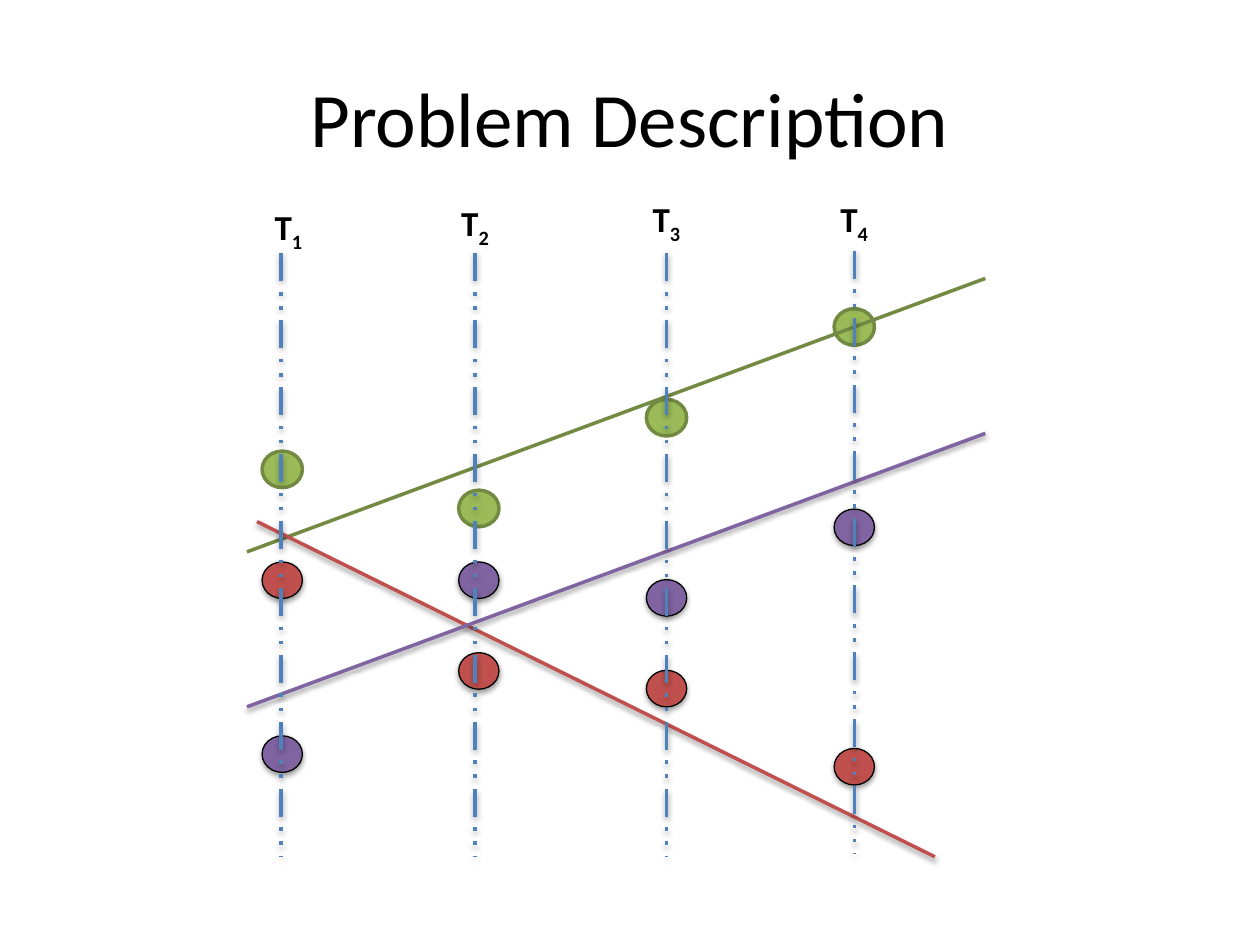
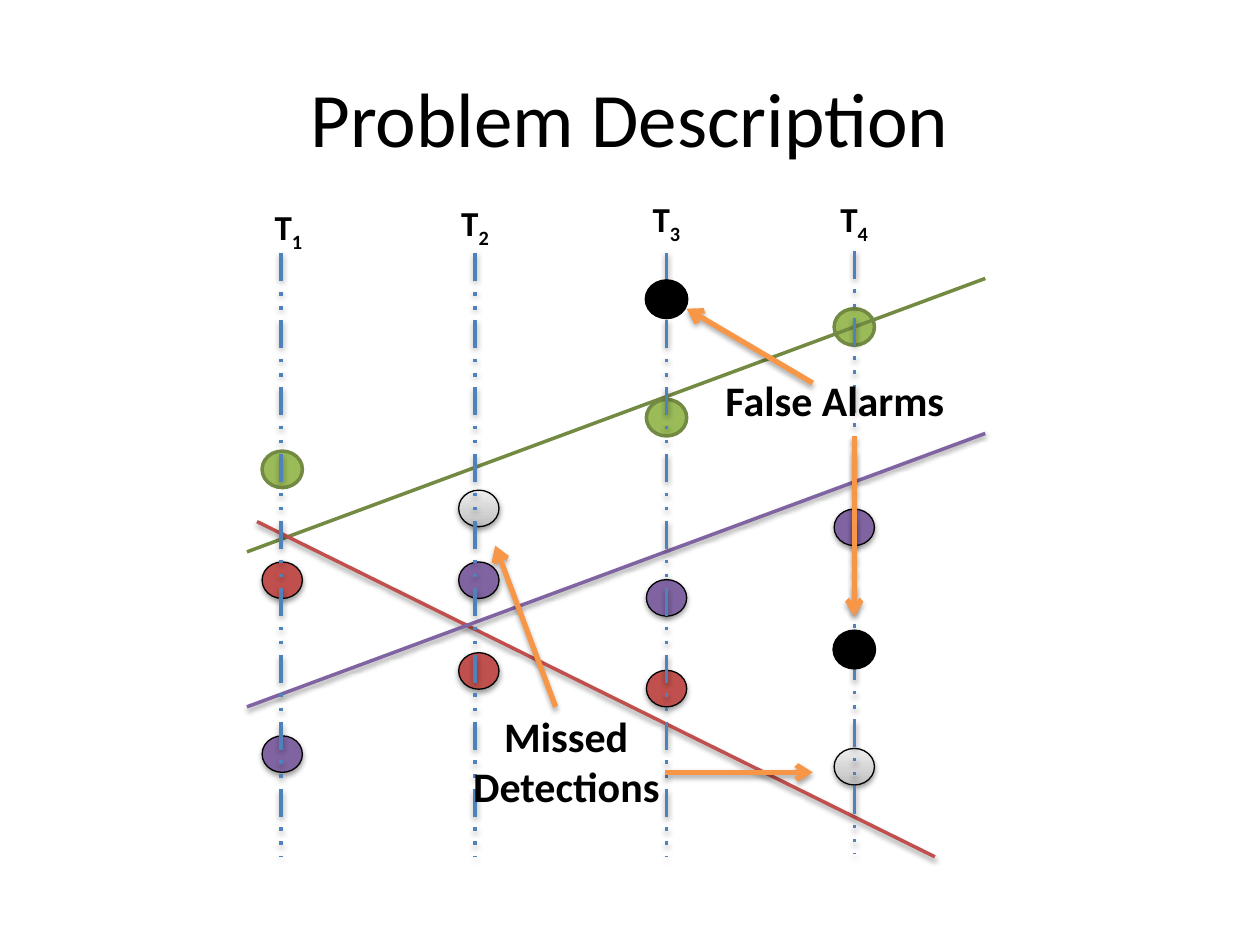
"""Builds two slides on tracking targets, with false alarms and missed detections."""
import pptx
import pptx.dml.color
import pptx.enum.dml
import pptx.enum.shapes
import pptx.enum.text
import pptx.oxml.ns
import pptx.util
from lxml import etree

Inches = pptx.util.Inches
Pt = pptx.util.Pt
RGBColor = pptx.dml.color.RGBColor
PP_ALIGN = pptx.enum.text.PP_ALIGN
MSO_LINE = pptx.enum.dml.MSO_LINE
qn = pptx.oxml.ns.qn

BLACK = RGBColor(0x00, 0x00, 0x00)
GREEN = RGBColor(0x9B, 0xBB, 0x59)
DARK_GREEN = RGBColor(0x73, 0x8A, 0x42)
PURPLE = RGBColor(0x80, 0x64, 0xA2)
RED = RGBColor(0xC0, 0x50, 0x4D)
BLUE = RGBColor(0x4F, 0x81, 0xBD)
ORANGE = RGBColor(0xF7, 0x96, 0x46)
MISSED_STOPS = (
    (0, RGBColor(0xBD, 0xBD, 0xBD)),
    (35, RGBColor(0xD1, 0xD1, 0xD1)),
    (100, RGBColor(0xEE, 0xEE, 0xEE)),
)

FONT = "Calibri"
DOT_W, DOT_H = 0.32, 0.29
DOT_LEFTS = (2.08, 3.64, 5.13, 6.62)
DOT_TOPS = {
    GREEN: (3.58, 3.89, 3.17, 2.45),
    RED: (4.46, 5.18, 5.32, 5.94),
    PURPLE: (5.84, 4.46, 4.6, 4.04),
}
TRACKS = (
    ((1.96, 4.38), (7.82, 2.21), DARK_GREEN),
    ((2.04, 4.14), (7.42, 6.8), RED),
    ((1.96, 5.61), (7.82, 3.44), PURPLE),
)
SCAN_HEIGHT = 4.79
SCANS = ((2.23, 2.01), (3.77, 2.01), (5.29, 2.01), (6.78, 1.99))
SCAN_LABELS = ((1.96, 1.58), (3.44, 1.55), (4.96, 1.52), (6.45, 1.52))
MISSED = {(GREEN, 1), (RED, 3)}
FALSE_ALARMS = ((3, 5.01), (2, 2.23))
ARROWS = (
    ((6.78, 3.46), (6.78, 4.89)),
    ((5.28, 6.13), (6.45, 6.13)),
    ((4.41, 5.61), (3.93, 4.33)),
    ((6.45, 3.04), (5.45, 2.45)),
)


def add_run(p, text, size=20, bold=True, baseline=None):
    r = p.add_run()
    r.text = text
    r.font.name = FONT
    r.font.size = Pt(size)
    r.font.bold = bold
    r.font.color.rgb = BLACK
    if baseline:
        r.font._element.set("baseline", str(baseline * 1000))


def add_color(parent, rgb):
    return etree.SubElement(parent, qn("a:srgbClr"), val=str(rgb))


def set_shadow(sp, alpha=0, dist=1.6):
    sp_pr = sp._element.spPr
    effects = sp_pr.find(qn("a:effectLst"))
    if effects is None:
        effects = etree.SubElement(sp_pr, qn("a:effectLst"))
    if alpha:
        shadow = etree.SubElement(
            effects, qn("a:outerShdw"), blurRad=str(int(Pt(3.1))), dist=str(int(Pt(dist))),
            dir="5400000", rotWithShape="0")
        etree.SubElement(add_color(shadow, BLACK), qn("a:alpha"), val=str(alpha * 1000))


def set_gradient(sp, stops):
    sp.fill.gradient()
    sp.fill.gradient_angle = 90
    gs_lst = sp._element.spPr.find(qn("a:gradFill")).find(qn("a:gsLst"))
    for gs in list(gs_lst):
        gs_lst.remove(gs)
    for pos, rgb in stops:
        add_color(etree.SubElement(gs_lst, qn("a:gs"), pos=str(pos * 1000)), rgb)


class Deck:
    def __init__(self):
        self.prs = pptx.Presentation()
        self.prs.slide_width = Inches(10)
        self.prs.slide_height = Inches(7.5)
        self.s = None

    def slide(self, title):
        self.s = self.prs.slides.add_slide(self.prs.slide_layouts[5])
        sp = self.s.shapes.title
        sp.left, sp.top, sp.width, sp.height = map(Inches, (0.5, 0.3, 9, 1.25))
        tf = sp.text_frame
        tf.vertical_anchor = pptx.enum.text.MSO_ANCHOR.MIDDLE
        p = tf.paragraphs[0]
        p.alignment = PP_ALIGN.CENTER
        add_run(p, title, size=44, bold=False)

    def dot(self, scan, top, fill, line=BLACK, width=0.75, shadow=38):
        sp = self.s.shapes.add_shape(
            pptx.enum.shapes.MSO_SHAPE.OVAL,
            *map(Inches, (DOT_LEFTS[scan], top, DOT_W, DOT_H)))
        if fill is MISSED_STOPS:
            set_gradient(sp, fill)
        else:
            sp.fill.solid()
            sp.fill.fore_color.rgb = fill
        sp.line.color.rgb = line
        sp.line.width = Pt(width)
        sp.shadow.inherit = False
        set_shadow(sp, shadow)

    def line(self, start, end, color, width=2, dash=None, shadow=38, arrow=False):
        sp = self.s.shapes.add_connector(
            pptx.enum.shapes.MSO_CONNECTOR.STRAIGHT, *map(Inches, start + end))
        sp.line.color.rgb = color
        sp.line.width = Pt(width)
        if dash:
            sp.line.dash_style = dash
        if arrow:
            etree.SubElement(sp.get_or_add_ln(), qn("a:tailEnd"), type="arrow")
        set_shadow(sp, shadow, dist=1.8 if arrow else 1.6)

    def text(self, box, text, subscript="", size=20, align=PP_ALIGN.CENTER):
        tf = self.s.shapes.add_textbox(*map(Inches, box)).text_frame
        tf.word_wrap = True
        tf.auto_size = pptx.enum.text.MSO_AUTO_SIZE.SHAPE_TO_FIT_TEXT
        p = tf.paragraphs[0]
        p.alignment = align
        add_run(p, text, size=size)
        if subscript:
            add_run(p, subscript, size=size, baseline=-25)

    def tracking_plot(self, missed=()):
        self.slide("Problem Description")
        for color, tops in DOT_TOPS.items():
            for scan, top in enumerate(tops):
                if (color, scan) in missed:
                    self.dot(scan, top, MISSED_STOPS)
                elif color == GREEN:
                    self.dot(scan, top, color, line=DARK_GREEN, width=2, shadow=0)
                else:
                    self.dot(scan, top, color)
        for start, end, color in TRACKS:
            self.line(start, end, color, shadow=0 if color == DARK_GREEN else 38)
        for x, top in SCANS:
            self.line((x, top), (x, top + SCAN_HEIGHT), BLUE,
                      dash=MSO_LINE.DASH_DOT_DOT)
        for number, (left, top) in enumerate(SCAN_LABELS, 1):
            self.text((left, top, 0.66, 0.44), "T", subscript=str(number))

    def detection_errors(self):
        for scan, top in FALSE_ALARMS:
            self.dot(scan, top, BLACK, width=2, shadow=0)
        self.text((5.66, 2.92, 2.17, 0.5), "False Alarms", size=24, align=PP_ALIGN.LEFT)
        self.text((3.41, 5.59, 2.17, 0.91), "Missed Detections", size=24)
        for start, end in ARROWS:
            self.line(start, end, ORANGE, width=3, shadow=35, arrow=True)


def main():
    deck = Deck()
    deck.tracking_plot()
    deck.tracking_plot(missed=MISSED)
    deck.detection_errors()
    deck.prs.save("out.pptx")


if __name__ == "__main__":
    main()
